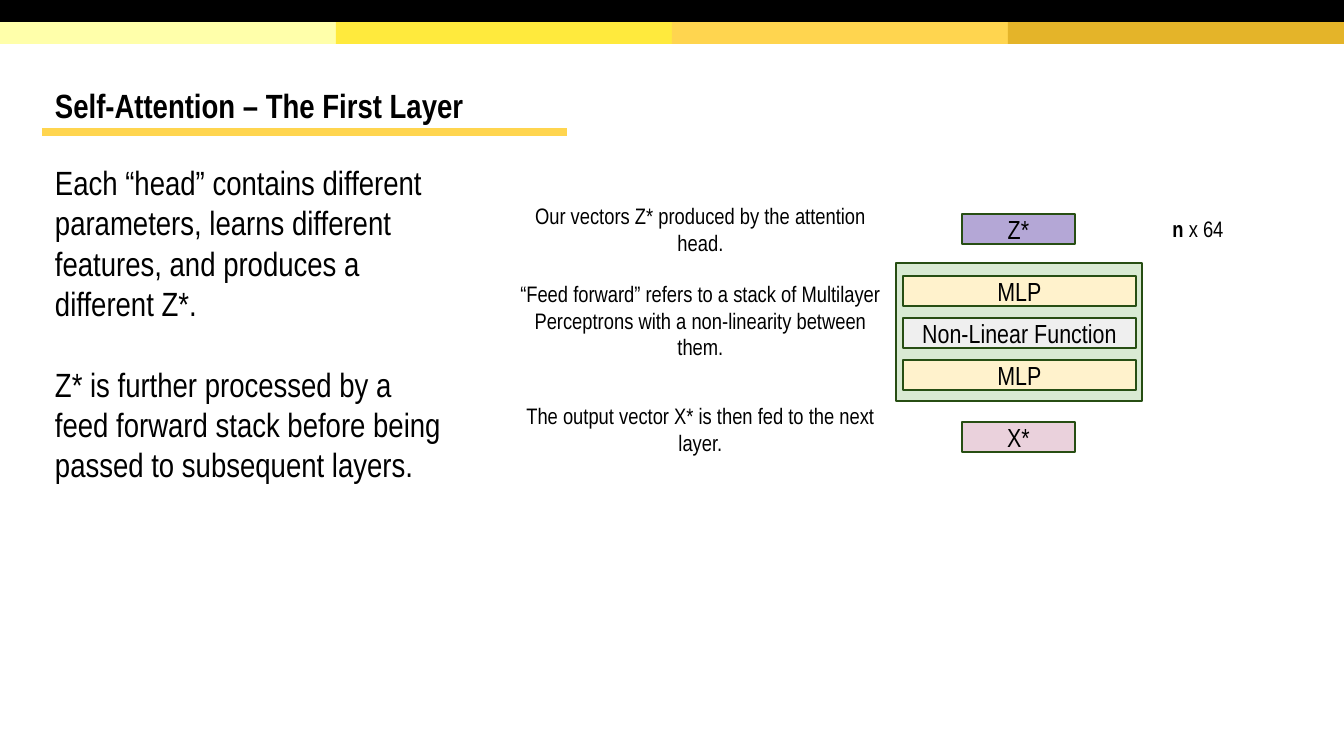
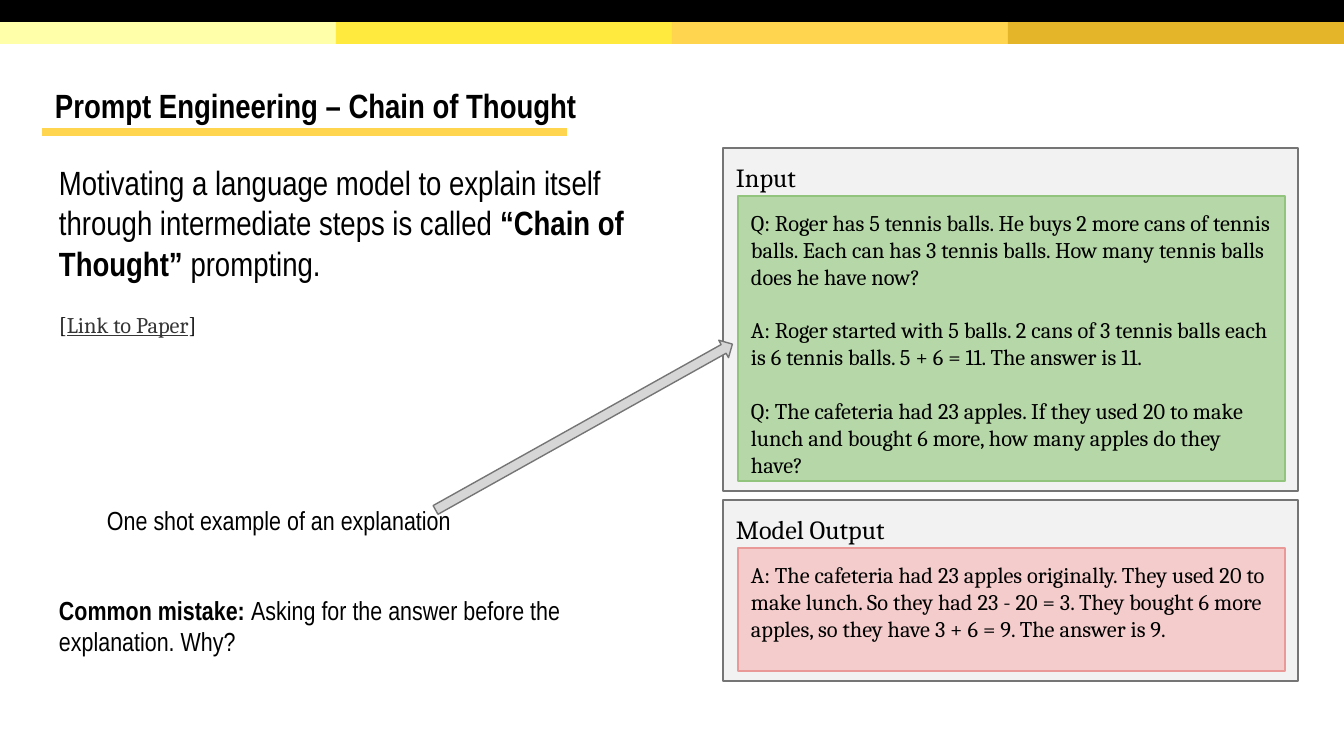
"""Build two slides on self-attention layers and chain-of-thought prompting."""
from lxml.etree import SubElement
from pptx import Presentation
from pptx.dml.color import RGBColor
from pptx.enum.shapes import MSO_CONNECTOR, MSO_SHAPE
from pptx.enum.text import MSO_ANCHOR, MSO_AUTO_SIZE, PP_ALIGN
from pptx.oxml.ns import qn
from pptx.util import Pt

PX = 6804
SANS, SERIF = "Arial Narrow", "Cambria"
BLACK, GOLD = "000000", "FFD54F"
DARK_GREEN, GRAY = "274E13", "757575"
BANDS = ["FFFFAA", "FFEA3D", GOLD, "E4B429"]
TITLES = ["Self-Attention – The First Layer", "Prompt Engineering – Chain of Thought"]


def color(value):
    return RGBColor.from_string(value)


def add_box(slide, place, paragraphs=(), size=12, font=SANS, fill=None, line=None,
            centered=False, gap=0, kind=MSO_SHAPE.RECTANGLE):
    """Add a filled shape or a plain text box; each paragraph is a list of runs."""
    left, top, width, height = [value * PX for value in place]
    if fill:
        box = slide.shapes.add_shape(kind, left, top, width, height)
        box.shadow.inherit = False
        box.fill.solid()
        box.fill.fore_color.rgb = color(fill)
        if line:
            box.line.color.rgb = color(line)
            box.line.width = Pt(0.75)
        else:
            box.line.fill.background()
    else:
        box = slide.shapes.add_textbox(left, top, width, height)
    frame = box.text_frame
    frame.word_wrap = True
    frame.vertical_anchor = MSO_ANCHOR.MIDDLE if centered else MSO_ANCHOR.TOP
    frame.margin_left = frame.margin_right = 13 * PX
    frame.margin_top = frame.margin_bottom = 13 * PX
    for index, runs in enumerate(paragraphs):
        paragraph = frame.add_paragraph() if index else frame.paragraphs[0]
        paragraph.alignment = PP_ALIGN.CENTER if centered else PP_ALIGN.LEFT
        if index:
            paragraph.space_before = Pt(gap)
        paragraph.font.size = Pt(size)
        paragraph.font.name = font
        paragraph.font.color.rgb = color(BLACK)
        for text in runs:
            paragraph.add_run().text = text
    return box


presentation = Presentation()
presentation.slide_width = 1344 * PX
presentation.slide_height = 756 * PX

for title_text in TITLES:
    slide = presentation.slides.add_slide(presentation.slide_layouts[5])
    for column, band in enumerate(BANDS):
        add_box(slide, (336 * column, 22, 336, 22), fill=band)
    add_box(slide, (0, 0, 1344, 22), fill=BLACK)

    underline = slide.shapes.add_connector(
        MSO_CONNECTOR.STRAIGHT, 42 * PX, 132 * PX, 567 * PX, 132 * PX)
    underline.line.color.rgb = color(GOLD)
    underline.line.width = Pt(4.5)
    SubElement(underline.element.spPr, qn("a:effectLst"))

    title = slide.shapes.title
    title.left, title.top, title.width, title.height = 46 * PX, 66 * PX, 1253 * PX, 85 * PX
    frame = title.text_frame
    frame.text = title_text
    frame.auto_size = MSO_AUTO_SIZE.NONE
    frame.vertical_anchor = MSO_ANCHOR.MIDDLE
    frame.margin_left = frame.margin_right = 9 * PX
    frame.margin_top = frame.margin_bottom = 5 * PX
    paragraph = frame.paragraphs[0]
    paragraph.alignment = PP_ALIGN.LEFT
    paragraph.line_spacing = 0.85
    paragraph.font.size = Pt(18)
    paragraph.font.name = SANS
    paragraph.font.bold = True
    paragraph.font.color.rgb = color(BLACK)

attention_slide, prompt_slide = presentation.slides

add_box(attention_slide, (42, 149, 415, 285), [
    ["Each “head” contains different parameters, learns different features, "
     "and produces a different Z*."],
    ["Z* is further processed by a feed forward stack before being passed "
     "to subsequent layers."],
], size=18, gap=21.6)

add_box(attention_slide, (896, 263, 246, 138), fill="D9EAD3", line=DARK_GREEN)
for row, (label, fill) in enumerate([
        ("MLP", "FFF2CC"), ("Non-Linear Function", "EFEFEF"), ("MLP", "FFF2CC")]):
    add_box(attention_slide, (903, 276 + 42 * row, 233, 30), [[label]], size=14,
            fill=fill, line=DARK_GREEN, centered=True)
for label, top, fill in [("Z*", 214, "B4A7D6"), ("X*", 422, "EAD1DC")]:
    add_box(attention_slide, (962, top, 113, 30), [[label]], size=14,
            fill=fill, line=DARK_GREEN, centered=True)

for top, caption in [
        (202, "Our vectors Z* produced by the attention head."),
        (293, "“Feed forward” refers to a stack of Multilayer Perceptrons "
              "with a non-linearity between them."),
        (402, "The output vector X* is then fed to the next layer.")]:
    add_box(attention_slide, (507, top, 387, 54), [[caption]], centered=True)
dimensions = add_box(attention_slide, (1153, 202, 90, 54), [["n", " x 64"]], centered=True)
dimensions.text_frame.paragraphs[0].runs[0].font.bold = True

definition = add_box(prompt_slide, (46, 149, 626, 149), [[
    "Motivating a language model to explain itself through intermediate steps is called ",
    "“Chain of Thought”", " prompting."]], size=18)
definition.text_frame.paragraphs[0].runs[1].font.bold = True

for top, height, heading, fill, line, example in [
        (148, 343, "Input", "B6D7A8", "93C47D", [
            ["Q: Roger has 5 tennis balls. He buys 2 more cans of tennis balls. "
             "Each can has 3 tennis balls. How many tennis balls does he have now?"],
            ["A: Roger started with 5 balls. 2 cans of 3 tennis balls each is "
             "6 tennis balls. 5 + 6 = 11. The answer is 11."],
            ["Q: The cafeteria had 23 apples. If they used 20 to make lunch and "
             "bought 6 more, how many apples do they have?"]]),
        (500, 181, "Model Output", "F4CCCC", "EA9999", [
            ["A: The cafeteria had 23 apples originally. They used 20 to make lunch. "
             "So they had 23 - 20 = 3. They bought 6 more apples, so they have "
             "3 + 6 = 9. The answer is 9."]])]:
    add_box(prompt_slide, (723, top, 575, height), [[heading]], size=14, font=SERIF,
            fill="F2F2F2", line=GRAY)
    add_box(prompt_slide, (738, top + 48, 547, height - 58), example, font=SERIF,
            fill=fill, line=line, gap=14.4)

add_box(prompt_slide, (94, 491, 444, 59), [["One shot example of an explanation"]], size=14)
arrow = add_box(prompt_slide, (414, 417, 340, 20), fill="D6D6D6", line=GRAY,
                kind=MSO_SHAPE.RIGHT_ARROW)
arrow.rotation = 330.8

mistake = add_box(prompt_slide, (46, 581, 575, 90), [[
    "Common mistake: ", "Asking for the answer before the explanation. Why?"]], size=14)
mistake.text_frame.paragraphs[0].runs[0].font.bold = True

paper = add_box(prompt_slide, (46, 298, 247, 54), [["[", "Link to Paper", "]"]], font=SERIF)
paper_font = paper.text_frame.paragraphs[0].runs[1].font
paper_font.underline = True
paper_font.color.rgb = color("353535")

presentation.save("out.pptx")
